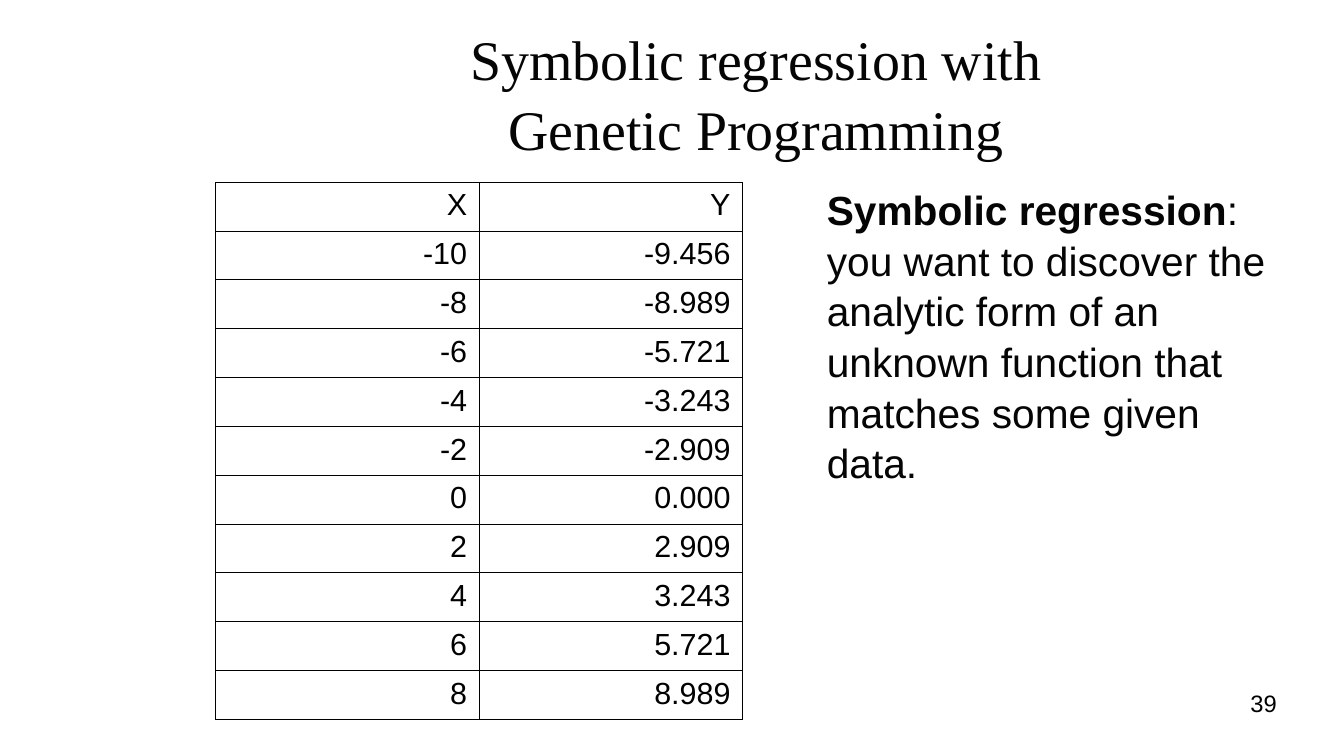
import dataclasses

import lxml.etree
import pptx
import pptx.dml.color
import pptx.enum.text
import pptx.oxml.ns
import pptx.util

Pt = pptx.util.Pt
Align = pptx.enum.text.PP_ALIGN
Anchor = pptx.enum.text.MSO_ANCHOR
qn = pptx.oxml.ns.qn


@dataclasses.dataclass
class Run:
    text: str
    bold: bool = False


@dataclasses.dataclass
class Block:
    box: tuple[float, float, float, float]
    runs: list[Run]
    font: str
    size: float
    hue: str
    align: Align
    anchor: Anchor = Anchor.TOP
    inset: float = 0
    space: float = 1
    after: float = 0


def color(hue: str) -> pptx.dml.color.RGBColor:
    return pptx.dml.color.RGBColor.from_string(hue)


def apply(item: object, form: dict) -> None:
    for key, val in form.items():
        setattr(item, key, val)


def style(font: object, name: str, size: float, hue: str, bold: bool) -> None:
    apply(font, {"name": name, "size": Pt(size), "bold": bold})
    font.color.rgb = color(hue)


def draw_block(slide: object, block: Block) -> None:
    frame = slide.shapes.add_textbox(*map(Pt, block.box)).text_frame
    apply(frame, {
        "word_wrap": True, "vertical_anchor": block.anchor,
        "margin_left": Pt(block.inset), "margin_right": 0,
        "margin_top": 0, "margin_bottom": 0,
    })
    para = frame.paragraphs[0]
    apply(para, {"alignment": block.align, "line_spacing": block.space,
                 "space_after": Pt(block.after)})
    for part in block.runs:
        for row, line in enumerate(part.text.split("\n")):
            if row:
                para.add_line_break()
            run = para.add_run()
            run.text = line
            style(run.font, block.font, block.size, block.hue, part.bold)


def draw_edges(cell: object, width: float, hue: str) -> None:
    props = cell._tc.get_or_add_tcPr()
    for spot, side in enumerate(("lnL", "lnR", "lnT", "lnB")):
        line = lxml.etree.Element(qn("a:" + side), w=str(Pt(width)))
        fill = lxml.etree.SubElement(line, qn("a:solidFill"))
        lxml.etree.SubElement(fill, qn("a:srgbClr"), val=hue)
        props.insert(spot, line)


def draw_table(slide: object, rows: list[tuple[str, str]], left: float,
               top: float, width: float, step: float) -> None:
    count = len(rows)
    frame = slide.shapes.add_table(count, 2, Pt(left), Pt(top),
                                   Pt(width), Pt(step * count))
    table = frame.table
    apply(table, {"first_row": False, "horz_banding": False})
    for row, pair in zip(table.rows, rows):
        row.height = Pt(step)
        for cell, text in zip(row.cells, pair):
            cell.text = text
            cell.fill.solid()
            cell.fill.fore_color.rgb = color("FFFFFF")
            para = cell.text_frame.paragraphs[0]
            para.alignment = Align.RIGHT
            style(para.runs[0].font, "Arial", 18, "000000", False)
            draw_edges(cell, 0.57, "000000")


deck = pptx.Presentation()
apply(deck, {"slide_width": Pt(793.44), "slide_height": Pt(446.4)})
slide = deck.slides.add_slide(deck.slide_layouts[6])

# Title
title = Block((127.44, 17.28, 637.92, 73.44),
              [Run("Symbolic regression with\nGenetic Programming")],
              "Times New Roman", 33, "050505", Align.CENTER,
              Anchor.MIDDLE, space=1.04)
draw_block(slide, title)

# Sample points
values = ["-9.456", "-8.989", "-5.721", "-3.243", "-2.909", "0.000",
          "2.909", "3.243", "5.721", "8.989"]
points = [(str(x), y) for x, y in zip(range(-10, 10, 2), values)]
draw_table(slide, [("X", "Y")] + points, 127.44, 107.6, 311.04, 27.36)

# Definition and page number
about = Block((454.32, 108, 311.04, 259.2),
              [Run("Symbolic regression", True),
               Run(": you want to discover the analytic form of an unknown "
                   "function that matches some given data.")],
              "Arial", 24, "050505", Align.LEFT,
              inset=33.84, space=1.04, after=10.6)
page = Block((568.8, 406.8, 185.04, 30.96), [Run("39")],
             "Arial", 14, "000000", Align.RIGHT)
for block in (about, page):
    draw_block(slide, block)

deck.save("out.pptx")
